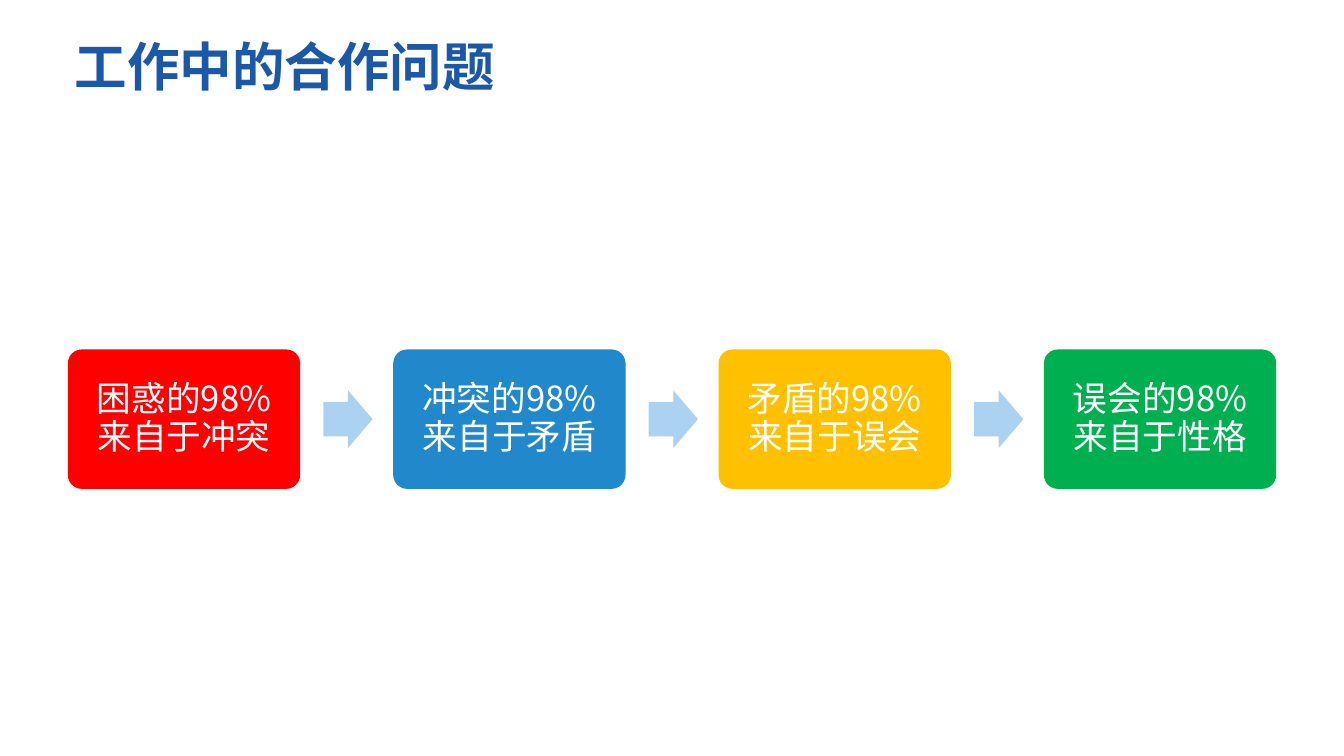
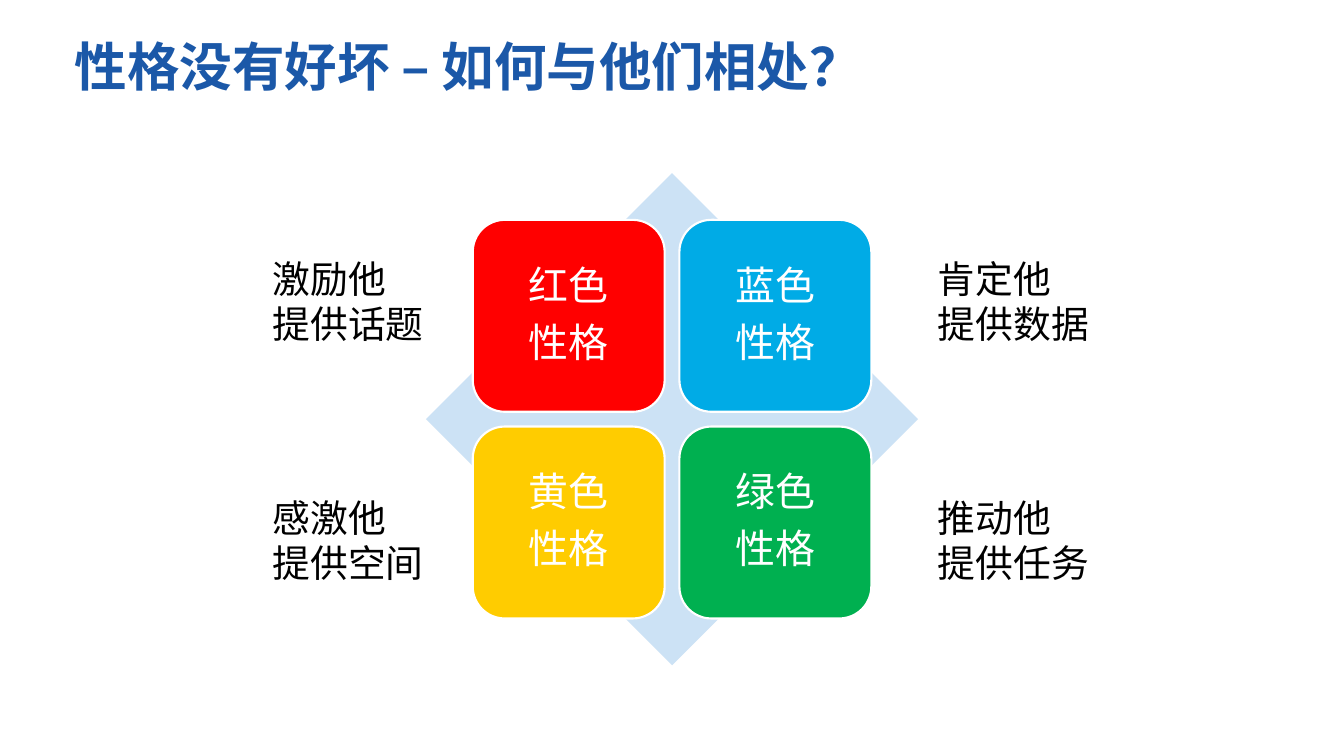
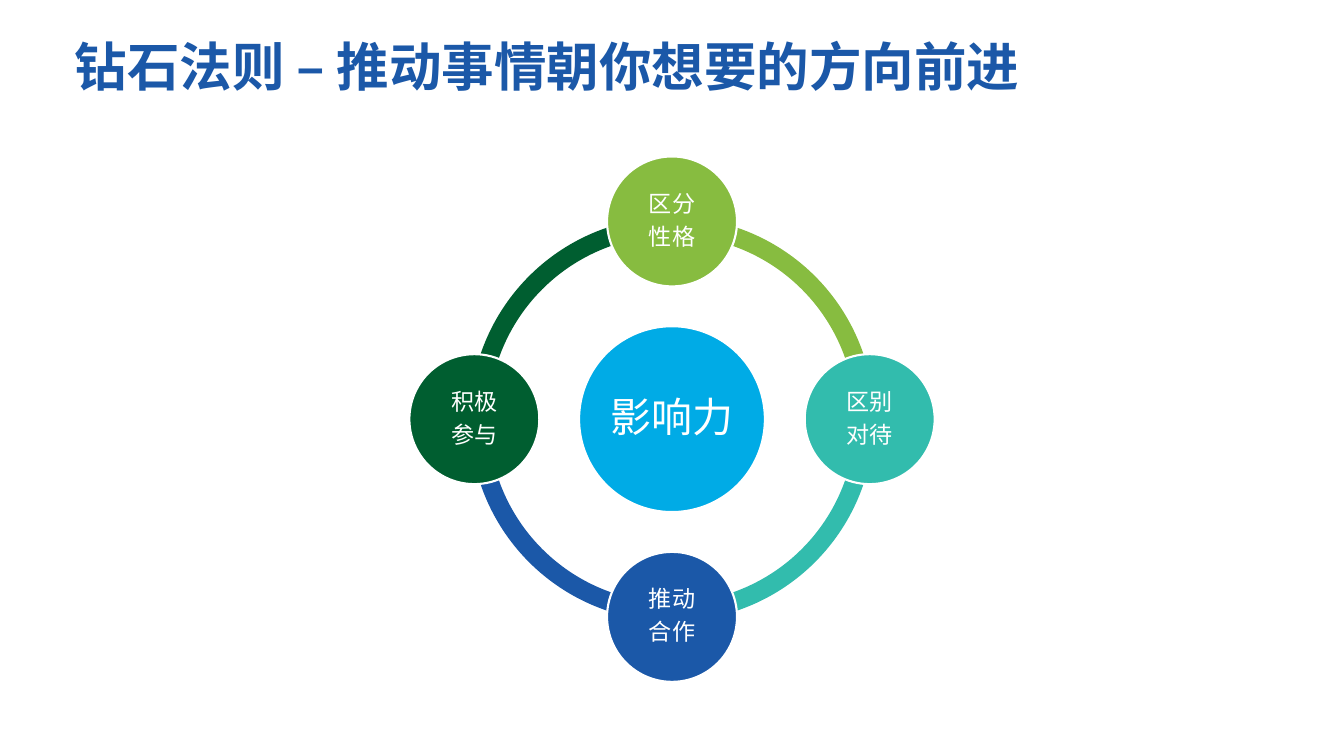
from math import cos, radians, sin

from lxml.etree import SubElement
from pptx import Presentation
from pptx.dml.color import RGBColor
from pptx.enum.shapes import MSO_SHAPE as SHAPE
from pptx.enum.text import MSO_ANCHOR as ANCHOR, MSO_AUTO_SIZE as AUTO_SIZE, PP_ALIGN as ALIGN
from pptx.oxml.ns import qn
from pptx.util import Pt

FONT = "Noto Sans CJK SC"
WHITE = RGBColor(0xFF, 0xFF, 0xFF)
BLACK = RGBColor(0x00, 0x00, 0x00)
NAVY = RGBColor(0x1B, 0x58, 0xA8)
RED = RGBColor(0xFF, 0x00, 0x00)
BLUE = RGBColor(0x22, 0x88, 0xCC)
AMBER = RGBColor(0xFF, 0xC0, 0x00)
YELLOW = RGBColor(0xFF, 0xCC, 0x00)
GREEN = RGBColor(0x00, 0xB0, 0x50)
SKY = RGBColor(0x00, 0xAB, 0xE6)
LIME = RGBColor(0x87, 0xBC, 0x40)
TEAL = RGBColor(0x32, 0xBC, 0xAD)
FOREST = RGBColor(0x00, 0x5E, 0x30)
ARROW_BLUE = RGBColor(0xAB, 0xD2, 0xF0)
PALE_BLUE = RGBColor(0xCC, 0xE2, 0xF5)

SLIDE_W, SLIDE_H = 1280.16, 720
CENTER_X, CENTER_Y = 640.1, 399.2


def write(tf, lines, size, color, bold=False):
    """Fill a text frame with one paragraph per line."""
    tf.word_wrap = True
    for i, line in enumerate(lines):
        p = tf.add_paragraph() if i else tf.paragraphs[0]
        p.text = line
        p.font.name = FONT
        p.font.size = Pt(size)
        p.font.bold = bold
        p.font.color.rgb = color
        # East Asian typeface
        def_rpr = p._p.pPr.find(qn("a:defRPr"))
        SubElement(def_rpr, qn("a:ea")).set("typeface", FONT)


def add_text(slide, box, lines, size, color, bold=False):
    tf = slide.shapes.add_textbox(*map(Pt, box)).text_frame
    write(tf, lines, size, color, bold)
    return tf


def add_shape(slide, kind, box, fill, adjustments=(), outlined=False):
    sp = slide.shapes.add_shape(kind, *map(Pt, box))
    sp.shadow.inherit = False
    sp.fill.solid()
    sp.fill.fore_color.rgb = fill
    if outlined:
        sp.line.color.rgb = WHITE
        sp.line.width = Pt(2)
    else:
        sp.line.fill.background()
    for i, value in enumerate(adjustments):
        sp.adjustments[i] = value
    return sp


def add_caption(sp, lines, size, inset):
    """Centred white text inside a diagram shape."""
    tf = sp.text_frame
    write(tf, lines, size, WHITE)
    tf.vertical_anchor = ANCHOR.MIDDLE
    tf.margin_left = tf.margin_top = tf.margin_right = tf.margin_bottom = Pt(inset)
    for p in tf.paragraphs:
        p.alignment = ALIGN.CENTER
        p.line_spacing = 0.9
        # Space after as a share of the line
        p.space_after = Pt(0)
        after = p._p.pPr.find(qn("a:spcAft"))
        after.remove(after[0])
        SubElement(after, qn("a:spcPct")).set("val", "35000")


def centered(x, y, w, h):
    return x - w / 2, y - h / 2, w, h


def new_slide(prs, title):
    slide = prs.slides.add_slide(prs.slide_layouts[6])
    add_text(slide, (64, 28.8, 1152, 120), [title], 50, NAVY, bold=True)
    return slide


def add_cause_chain(slide, box, steps):
    """Row of rounded boxes with an arrow in each gap."""
    left, top, width, height = box
    step_w, arrow_w, arrow_h = 221.3, 46.9, 54.9
    pitch = (width - step_w) / (len(steps) - 1)
    arrow_gap = 22.1
    for i, (text, color) in enumerate(steps):
        x = left + i * pitch
        if i:
            arrow_x = x - pitch + step_w + arrow_gap
            arrow_y = top + (height - arrow_h) / 2
            add_shape(slide, SHAPE.RIGHT_ARROW, (arrow_x, arrow_y, arrow_w, arrow_h),
                      ARROW_BLUE, (0.6, 0.5))
        sp = add_shape(slide, SHAPE.ROUNDED_RECTANGLE, (x, top, step_w, height), color, (0.1,))
        add_caption(sp, [text], 33, 10)


def add_personality_matrix(slide, box, tiles):
    """Two by two tiles on a diamond, with advice beside each tile."""
    left, top, side, _ = box
    tile, inset = side * 0.39, side * 0.095
    label_w, label_h = 163.4, 94.3
    label_xs = (left - 153.3, left + side + 11.7)
    add_shape(slide, SHAPE.DIAMOND, box, PALE_BLUE)
    for i, (name, color, advice) in enumerate(tiles):
        row, col = divmod(i, 2)
        step = side - 2 * inset - tile
        x, y = left + inset + col * step, top + inset + row * step
        sp = add_shape(slide, SHAPE.ROUNDED_RECTANGLE, (x, y, tile, tile), color, outlined=True)
        add_caption(sp, [name, "性格"], 38, 11.5)
        label_y = top + 75 + row * 227.5
        tf = add_text(slide, (label_xs[col], label_y, label_w, label_h), advice, 36, BLACK)
        tf.auto_size = AUTO_SIZE.SHAPE_TO_FIT_TEXT


def add_influence_cycle(slide, center, hub_text, nodes):
    """Hub with nodes on a ring, clockwise from the top."""
    cx, cy = center
    ring, hub, node, orbit = 385.2, 177, 123.8, 188.3
    # Arcs, each starting at its node; angles are in 60000ths of a degree
    unit = 60000 / 100000
    for i, (_, color) in reversed(list(enumerate(nodes))):
        start = (270 + 90 * i) % 360
        end = (start + 90) % 360
        add_shape(slide, SHAPE.BLOCK_ARC, centered(cx, cy, ring, ring), color,
                  (start * unit, end * unit, 0.046))
    # Hub
    sp = add_shape(slide, SHAPE.OVAL, centered(cx, cy, hub, hub), SKY, outlined=True)
    add_caption(sp, [hub_text], 39, 3.6)
    # Nodes
    for i, (lines, color) in enumerate(nodes):
        angle = radians(270 + 90 * i)
        x, y = cx + orbit * cos(angle), cy + orbit * sin(angle)
        sp = add_shape(slide, SHAPE.OVAL, centered(x, y, node, node), color, outlined=True)
        add_caption(sp, lines, 22, 2)


def main():
    prs = Presentation()
    prs.slide_width, prs.slide_height = Pt(SLIDE_W), Pt(SLIDE_H)

    # Chain of causes
    slide = new_slide(prs, "工作中的合作问题")
    add_cause_chain(slide, centered(CENTER_X, CENTER_Y, 1151, 132.8), [
        ("困惑的98%来自于冲突", RED),
        ("冲突的98%来自于矛盾", BLUE),
        ("矛盾的98%来自于误会", AMBER),
        ("误会的98%来自于性格", GREEN),
    ])

    # Four personalities
    slide = new_slide(prs, "性格没有好坏 – 如何与他们相处？")
    add_personality_matrix(slide, centered(CENTER_X, CENTER_Y, 468.7, 468.7), [
        ("红色", RED, ["激励他", "提供话题"]),
        ("蓝色", SKY, ["肯定他", "提供数据"]),
        ("黄色", YELLOW, ["感激他", "提供空间"]),
        ("绿色", GREEN, ["推动他", "提供任务"]),
    ])

    # Cycle of influence
    slide = new_slide(prs, "钻石法则 – 推动事情朝你想要的方向前进")
    add_influence_cycle(slide, (CENTER_X, CENTER_Y), "影响力", [
        (["区分", "性格"], LIME),
        (["区别", "对待"], TEAL),
        (["推动", "合作"], NAVY),
        (["积极", "参与"], FOREST),
    ])

    prs.save("out.pptx")


if __name__ == "__main__":
    main()
